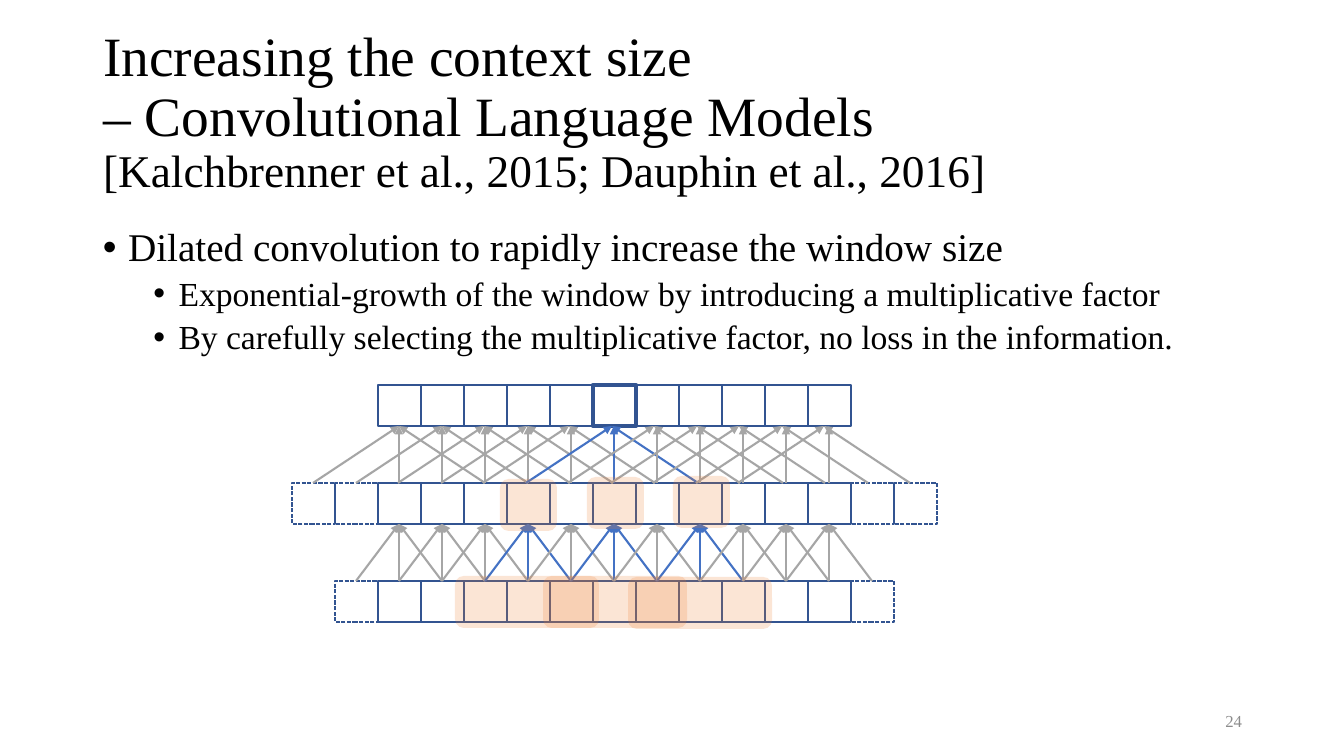
from dataclasses import dataclass

from lxml import etree
from pptx import Presentation
from pptx import util as u
from pptx.dml.color import RGBColor
from pptx.enum import dml, shapes, text
from pptx.oxml import ns

PX = 914400 / 100.8
FACE = "Times New Roman"
BLACK = RGBColor(0x00, 0x00, 0x00)
PALE = RGBColor(0x8C, 0x8C, 0x8C)
NAVY = RGBColor(0x32, 0x54, 0x91)
BLUE = RGBColor(0x44, 0x72, 0xC4)
GREY = RGBColor(0xA6, 0xA6, 0xA6)
ORANGE = RGBColor(0xED, 0x7D, 0x31)

# Grid of cells
LEFT, STEP, HIGH, COUNT = 378, 43, 41, 11
TOP, MID, LOW = 385, 483, 581
FOCUS = 5


@dataclass
class Row:
    y: int
    pad: int


@dataclass
class Layer:
    foot: int
    tip: int
    reach: int
    lit: tuple[int, ...]
    lean: bool


@dataclass
class Halo:
    x: int
    y: int
    w: int


@dataclass
class Point:
    words: str
    level: int
    size: int
    margin: float
    before: int


ROWS = [Row(LOW, 1), Row(MID, 2), Row(TOP, 0)]
LAYERS = [
    Layer(LOW, MID + HIGH, 43, (3, 5, 7), False),
    Layer(MID, TOP + HIGH, 86, (5,), True),
]
HALOS = [
    Halo(500, 479, 57), Halo(587, 477, 57), Halo(673, 476, 57),
    Halo(455, 576, 144), Halo(543, 576, 144), Halo(628, 577, 144),
]
POINTS = [
    Point("Dilated convolution to rapidly increase the window size", 0, 28, 0.25, 0),
    Point("Exponential-growth of the window by introducing a multiplicative factor",
          1, 24, 0.75, 5),
    Point("By carefully selecting the multiplicative factor, no loss in the information.",
          1, 24, 0.75, 5),
]


def px(n: int) -> u.Emu:
    return u.Emu(round(n * PX))


def place(x: int, y: int, w: int, h: int) -> tuple:
    return px(x), px(y), px(w), px(h)


def style(para, size: float, color: RGBColor) -> None:
    para.font.name = FACE
    para.font.size = u.Pt(size)
    para.font.color.rgb = color


def write_title(slide) -> None:
    title = slide.shapes.title
    title.left, title.top, title.width, title.height = place(93, 40, 1159, 146)
    frame = title.text_frame
    frame.word_wrap = True
    frame.auto_size = text.MSO_AUTO_SIZE.NONE
    frame.vertical_anchor = text.MSO_ANCHOR.MIDDLE
    para = frame.paragraphs[0]
    para.alignment = text.PP_ALIGN.LEFT
    para.line_spacing = 0.9
    style(para, 39.6, BLACK)
    for line in ("Increasing the context size", "– Convolutional Language Models"):
        para.add_run().text = line
        para.add_line_break()
    cite = para.add_run()
    cite.text = "[Kalchbrenner et al., 2015; Dauphin et al., 2016]"
    cite.font.size = u.Pt(32.4)


def write_points(slide) -> None:
    frame = slide.shapes.add_textbox(*place(93, 223, 1159, 480)).text_frame
    frame.word_wrap = True
    for i, point in enumerate(POINTS):
        para = frame.add_paragraph() if i else frame.paragraphs[0]
        para.text = point.words
        para.level = point.level
        para.line_spacing = 0.9
        para.space_before = u.Pt(point.before)
        props = para._p.get_or_add_pPr()
        props.set("marL", str(u.Inches(point.margin)))
        props.set("indent", str(-u.Inches(0.25)))
        etree.SubElement(props, ns.qn("a:buFont")).set("typeface", "Arial")
        etree.SubElement(props, ns.qn("a:buChar")).set("char", "•")
        style(para, point.size, BLACK)


def write_page(slide) -> None:
    frame = slide.shapes.add_textbox(*place(950, 701, 302, 40)).text_frame
    frame.word_wrap = True
    frame.vertical_anchor = text.MSO_ANCHOR.MIDDLE
    para = frame.paragraphs[0]
    para.text = "24"
    para.alignment = text.PP_ALIGN.RIGHT
    style(para, 12, PALE)


def draw_row(slide, row: Row) -> None:
    for col in range(-row.pad, COUNT + row.pad):
        cell = slide.shapes.add_shape(
            shapes.MSO_SHAPE.RECTANGLE, *place(LEFT + col * STEP, row.y, STEP, HIGH))
        cell.shadow.inherit = False
        cell.fill.background()
        cell.line.color.rgb = NAVY
        cell.line.width = u.Pt(3 if row.y == TOP and col == FOCUS else 1)
        if not 0 <= col < COUNT:
            cell.line.dash_style = dml.MSO_LINE.SQUARE_DOT


def draw_arrow(slide, x: int, y: int, tip_x: int, tip_y: int, color: RGBColor) -> None:
    arrow = slide.shapes.add_connector(
        shapes.MSO_CONNECTOR.STRAIGHT, px(x), px(y), px(tip_x), px(tip_y))
    arrow.line.color.rgb = color
    arrow.line.width = u.Pt(1.5)
    etree.SubElement(arrow.line._get_or_add_ln(), ns.qn("a:tailEnd")).set("type", "triangle")
    etree.SubElement(arrow._element.spPr, ns.qn("a:effectLst"))


def draw_layer(slide, layer: Layer) -> None:
    for col in range(COUNT):
        color = BLUE if col in layer.lit else GREY
        mid = LEFT + col * STEP + STEP // 2
        # Slanted arrows of the wide layer drift left along the row
        tip = mid - col // 2 if layer.lean else mid
        for side in (layer.reach, -layer.reach):
            draw_arrow(slide, tip + side, layer.foot, tip, layer.tip, color)
        draw_arrow(slide, mid, layer.foot, mid, layer.tip, color)


def draw_halo(slide, halo: Halo) -> None:
    shape = slide.shapes.add_shape(
        shapes.MSO_SHAPE.ROUNDED_RECTANGLE, *place(halo.x, halo.y, halo.w, 52))
    shape.shadow.inherit = False
    shape.line.fill.background()
    shape.fill.solid()
    shape.fill.fore_color.rgb = ORANGE
    tint = shape._element.spPr.find(".//" + ns.qn("a:srgbClr"))
    etree.SubElement(tint, ns.qn("a:alpha")).set("val", "20000")


def main() -> None:
    deck = Presentation()
    deck.slide_width, deck.slide_height = px(1344), px(756)
    slide = deck.slides.add_slide(deck.slide_layouts[5])

    # Wording
    write_title(slide)
    write_points(slide)
    write_page(slide)

    # Network
    for row in ROWS:
        draw_row(slide, row)
    for layer in LAYERS:
        draw_layer(slide, layer)
    for halo in HALOS:
        draw_halo(slide, halo)

    deck.save("out.pptx")


if __name__ == "__main__":
    main()
